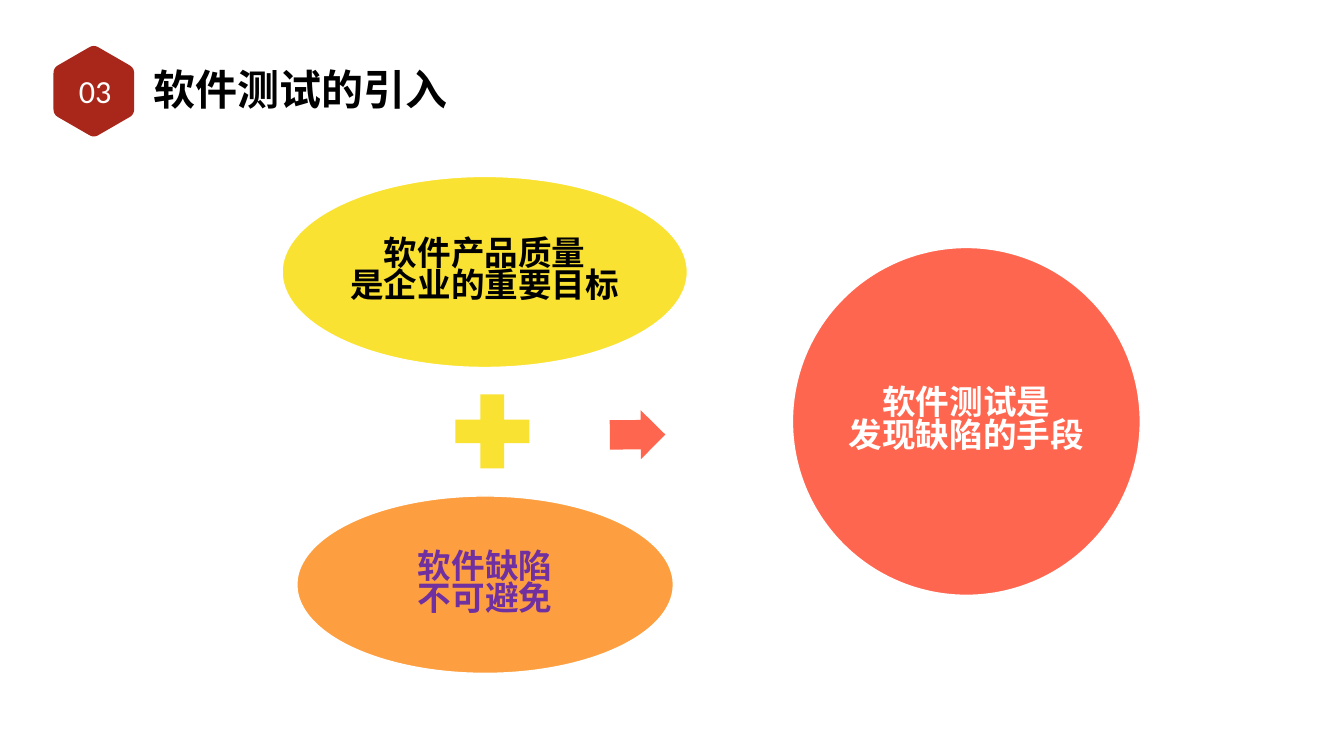
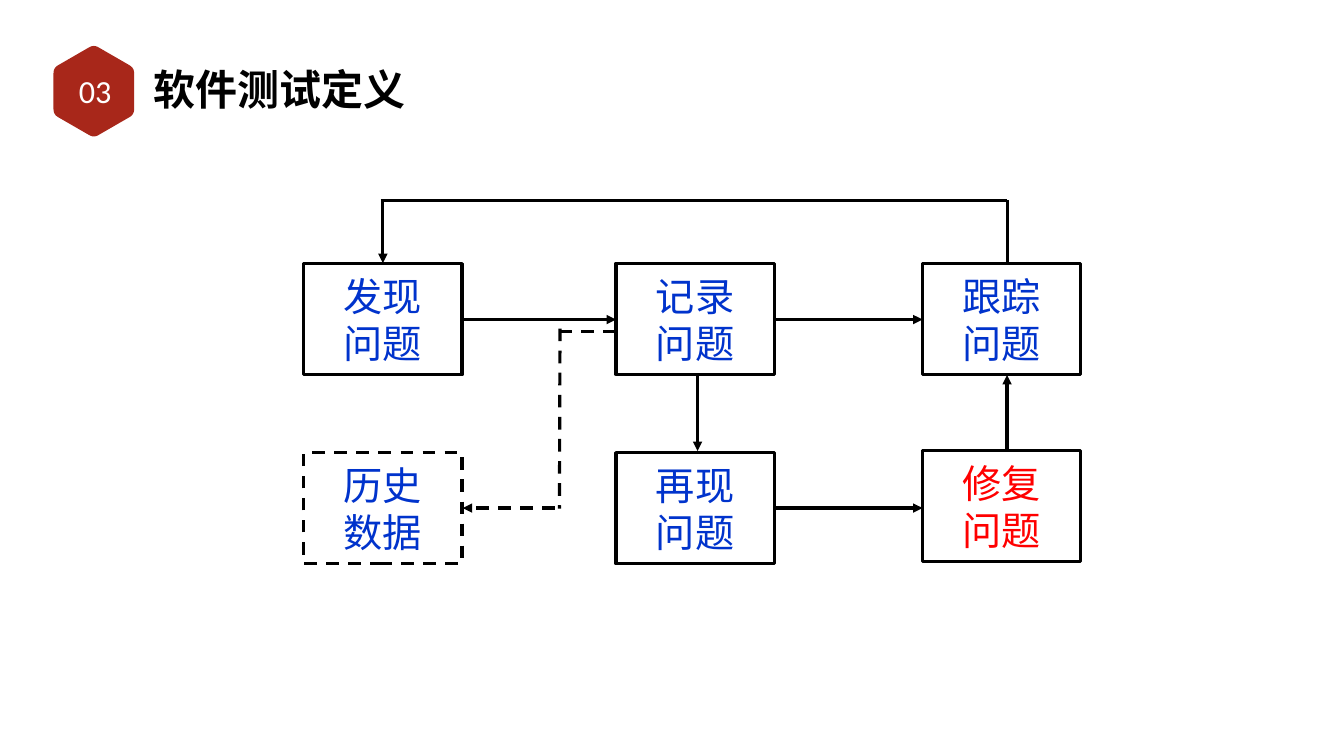
"""Builds two slides that introduce and define software testing."""
import math

from lxml import etree
from pptx import Presentation
from pptx import util as u
from pptx.dml.color import RGBColor
from pptx.enum import dml, shapes, text
from pptx.oxml import ns

Pt = u.Pt
CJK = "Noto Sans CJK SC"
THEME = {
    "colors": {
        "black": "000000", "white": "FFFFFF", "brick": "A8271A",
        "yellow": "FAE232", "orange": "FD9F40", "coral": "FF664F",
        "purple": "7030A0", "blue": "0033CC", "red": "FF0000",
    },
    "fonts": {
        "title": {"name": CJK, "size": Pt(60), "bold": True},
        "badge": {"name": "Calibri", "size": Pt(46), "bold": False},
        "bubble": {"name": CJK, "size": Pt(48), "bold": True},
        "step": {"name": CJK, "size": Pt(56), "bold": False},
    },
    "bubble_line": 2,
    "flow_line": 4.5,
}
COLORS = {name: RGBColor.from_string(code) for name, code in THEME["colors"].items()}
CENTER, LEFT = text.PP_ALIGN.CENTER, text.PP_ALIGN.LEFT


def write(shape, lines, font, color, inset, alignment=CENTER, spacing=1.0):
    """Write one paragraph per line, centred vertically in the shape."""
    frame = shape.text_frame
    frame_format = {
        "word_wrap": True, "auto_size": text.MSO_AUTO_SIZE.NONE,
        "vertical_anchor": text.MSO_ANCHOR.MIDDLE,
        "margin_left": Pt(inset), "margin_right": Pt(inset),
        "margin_top": Pt(inset), "margin_bottom": Pt(inset),
    }
    for name, value in frame_format.items():
        setattr(frame, name, value)
    for index, line in enumerate(lines):
        paragraph = frame.add_paragraph() if index else frame.paragraphs[0]
        paragraph.alignment = alignment
        paragraph.line_spacing = spacing
        run = paragraph.add_run()
        run.text = line
        for name, value in THEME["fonts"][font].items():
            setattr(run.font, name, value)
        run.font.color.rgb = COLORS[color]
        east_asian = etree.SubElement(run.font._element, ns.qn("a:ea"))
        east_asian.set("typeface", THEME["fonts"][font]["name"])


def paint(shape, fill, line=None, width=0, dashed=False):
    """Give the shape a flat fill and either a plain outline or none."""
    shape.shadow.inherit = False
    shape.fill.solid()
    shape.fill.fore_color.rgb = COLORS[fill]
    if line is None:
        shape.line.fill.background()
        return
    shape.line.color.rgb = COLORS[line]
    shape.line.width = Pt(width)
    if dashed:
        shape.line.dash_style = dml.MSO_LINE.DASH


presentation = Presentation()
presentation.slide_width, presentation.slide_height = Pt(1920), Pt(1080)

center_x, center_y, radius, cut = 134, 130.3, 66.5, 7.5
corners = [
    (center_x + radius * math.sin(math.radians(angle)),
     center_y - radius * math.cos(math.radians(angle)))
    for angle in range(0, 360, 60)
]
badge_points = []
for index, corner in enumerate(corners):
    before, after = (
        [a + (b - a) * cut / radius for a, b in zip(corner, neighbour)]
        for neighbour in (corners[index - 1], corners[(index + 1) % 6])
    )
    for step in range(7):
        t = step / 6
        badge_points.append(tuple(
            Pt((1 - t) ** 2 * a + 2 * t * (1 - t) * b + t ** 2 * c)
            for a, b, c in zip(before, corner, after)
        ))

slides = []
for heading in ("软件测试的引入", "软件测试定义"):
    slide = presentation.slides.add_slide(presentation.slide_layouts[5])
    slides.append(slide)
    title = slide.shapes.title
    title_place = {"left": 215.3, "top": 85, "width": 436.3, "height": 82}
    for name, value in title_place.items():
        setattr(title, name, Pt(value))
    write(title, [heading], "title", "black", 4.3, LEFT)
    builder = slide.shapes.build_freeform(*badge_points[0])
    builder.add_line_segments(badge_points[1:], close=True)
    paint(builder.convert_to_shape(), "brick")
    number = slide.shapes.add_textbox(Pt(73.4), Pt(91.4), Pt(125.3), Pt(75.6))
    write(number, ["03"], "badge", "white", 3.6)
intro, definition = slides

bubbles = [
    ((403, 252, 579, 273), "yellow", "black", ["软件产品质量", "是企业的重要目标"]),
    ((424, 708.5, 538, 253.5), "orange", "purple", ["软件缺陷", "不可避免"]),
    ((1132, 353.5, 497, 497), "coral", "white", ["软件测试是", "发现缺陷的手段"]),
]
for place, fill, color, lines in bubbles:
    bubble = intro.shapes.add_shape(shapes.MSO_SHAPE.OVAL, *map(Pt, place))
    paint(bubble, fill, "white", THEME["bubble_line"])
    write(bubble, lines, "bubble", color, 5, spacing=0.8)

plus = intro.shapes.add_shape(
    shapes.MSO_SHAPE.MATH_PLUS, Pt(631.4), Pt(544.3), Pt(144), Pt(144))
paint(plus, "yellow")
arrow = intro.shapes.add_shape(
    shapes.MSO_SHAPE.RIGHT_ARROW, Pt(871.2), Pt(586), Pt(79.2), Pt(70))
arrow.adjustments[0], arrow.adjustments[1] = 0.6, 0.5
arrow.rotation = 359.6
paint(arrow, "coral")

flows = [
    ((1439, 286), (1439, 376.5), False, False),
    ((543.6, 286), (1439, 286), False, False),
    ((547, 286), (547, 376), True, False),
    ((660, 456.5), (880, 456.5), True, False),
    ((1106, 456.5), (1318, 456.5), True, False),
    ((1106, 725.8), (1318, 725.8), True, False),
    ((1438.6, 644), (1438.6, 535.7), True, False),
    ((996.5, 535), (996.5, 644.4), True, False),
    ((880, 473.8), (800, 473.8), False, True),
    ((800, 469.4), (799.2, 726.5), False, True),
    ((792.7, 725.8), (661, 725.8), True, True),
]
for start, end, pointed, dashed in flows:
    flow = definition.shapes.add_connector(
        shapes.MSO_CONNECTOR.STRAIGHT, *map(Pt, start + end))
    flow.line.color.rgb = COLORS["black"]
    flow.line.width = Pt(THEME["flow_line"])
    if dashed:
        flow.line.dash_style = dml.MSO_LINE.DASH
    if pointed:
        tail = etree.SubElement(flow.line._get_or_add_ln(), ns.qn("a:tailEnd"))
        tail.set("type", "triangle")
    etree.SubElement(flow._element.spPr, ns.qn("a:effectLst"))

columns = (434, 880, 1318)
steps = [
    (0, 376.5, ["发现", "问题"], "blue", False),
    (1, 376, ["记录", "问题"], "blue", False),
    (2, 376.5, ["跟踪", "问题"], "blue", False),
    (0, 646.5, ["历史", "数据"], "blue", True),
    (1, 646.5, ["再现", "问题"], "blue", False),
    (2, 643.7, ["修复", "问题"], "red", False),
]
for column, top, lines, color, dashed in steps:
    box = definition.shapes.add_shape(
        shapes.MSO_SHAPE.RECTANGLE, Pt(columns[column]), Pt(top), Pt(226), Pt(159))
    paint(box, "white", "black", THEME["flow_line"], dashed)
    write(box, lines, "step", color, 3.6)

presentation.save("out.pptx")
